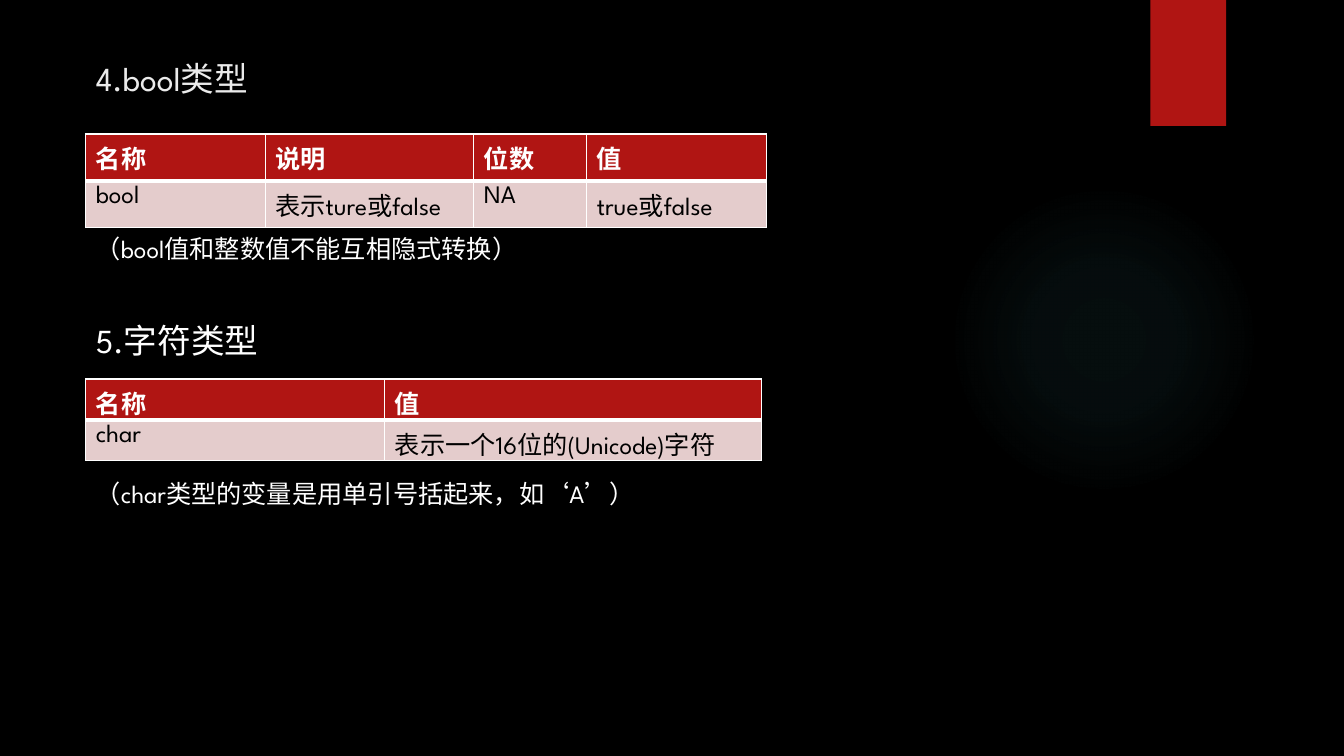
from pptx import Presentation
from pptx.dml.color import RGBColor
from pptx.enum.shapes import MSO_SHAPE
from pptx.enum.text import MSO_ANCHOR, MSO_AUTO_SIZE, PP_ALIGN
from pptx.oxml import parse_xml
from pptx.oxml.ns import nsdecls, qn
from pptx.util import Inches, Pt

THEME = {
    "font": "League Spartan",
    "background": RGBColor.from_string("000000"),
    "accent": RGBColor.from_string("B01513"),
    "row": RGBColor.from_string("E4CCCC"),
    "title": RGBColor.from_string("EBEBEB"),
    "light": RGBColor.from_string("FFFFFF"),
    "dark": RGBColor.from_string("000000"),
    "halo": "50B9C1",
    "heading_size": Pt(24),
    "body_size": Pt(18),
}
LEFT = 6.38

deck = Presentation()
deck.slide_width, deck.slide_height = Inches(13.33), Inches(7.5)


def share(left, top, width, height):
    sides = (deck.slide_width, deck.slide_height) * 2
    return [int(side * percent / 100) for side, percent in zip(sides, (left, top, width, height))]


def write(frame, text, size, color, bold=False):
    frame.text = text
    paragraph = frame.paragraphs[0]
    paragraph.alignment = PP_ALIGN.LEFT
    font = paragraph.runs[0].font
    for name, value in {"name": THEME["font"], "size": size, "bold": bold}.items():
        setattr(font, name, value)
    font.color.rgb = color


slide = deck.slides.add_slide(deck.slide_layouts[5])
slide.background.fill.solid()
slide.background.fill.fore_color.rgb = THEME["background"]

halo = slide.shapes.add_shape(MSO_SHAPE.OVAL, *share(70.6, 24.4, 23.1, 41.07))
ribbon = slide.shapes.add_shape(MSO_SHAPE.RECTANGLE, *share(85.6, 0, 5.63, 16.67))
for decoration in (halo, ribbon):
    decoration.shadow.inherit = False
    decoration.line.fill.background()
ribbon.fill.solid()
ribbon.fill.fore_color.rgb = THEME["accent"]

halo.fill.background()
stops = "".join(
    f'<a:gs pos="{position * 1000}"><a:srgbClr val="{THEME["halo"]}">'
    f'<a:alpha val="{opacity * 1000}"/></a:srgbClr></a:gs>'
    for position, opacity in ((0, 7), (36, 6), (69, 0))
)
glow = parse_xml(
    f'<a:gradFill {nsdecls("a")}><a:gsLst>{stops}</a:gsLst><a:path path="circle">'
    '<a:fillToRect l="50000" t="50000" r="50000" b="50000"/></a:path></a:gradFill>'
)
halo_properties = halo._element.spPr
halo_properties.replace(halo_properties.find(qn("a:noFill")), glow)

title = slide.shapes.title
for name, value in zip(("left", "top", "width", "height"), share(LEFT, 6.93, 77.2, 9.2)):
    setattr(title, name, value)
title_format = {
    "vertical_anchor": MSO_ANCHOR.TOP,
    "auto_size": MSO_AUTO_SIZE.NONE,
    "word_wrap": True,
}
for name, value in title_format.items():
    setattr(title.text_frame, name, value)
write(title.text_frame, "4.bool类型", THEME["heading_size"], THEME["title"])

passages = [
    ("（bool值和整数值不能互相隐式转换）", 30.27, 68.1, 5.33, "body_size"),
    ("5.字符类型", 41.6, 68.4, 6.67, "heading_size"),
    ("（char类型的变量是用单引号括起来，如‘A’）", 62.67, 71, 5.33, "body_size"),
]
for text, top, width, height, size in passages:
    passage = slide.shapes.add_textbox(*share(LEFT, top, width, height))
    passage.text_frame.word_wrap = True
    write(passage.text_frame, text, THEME[size], THEME["light"])

type_tables = [
    {
        "top": 17.73,
        "row_height": 6.2,
        "margin_bottom": Inches(0.05),
        "columns": [13.35, 15.53, 8.4, 13.35],
        "rows": [["名称", "说明", "位数", "值"], ["bool", "表示ture或false", "NA", "true或false"]],
    },
    {
        "top": 50.13,
        "row_height": 5.4,
        "margin_bottom": 0,
        "columns": [22.25, 28.06],
        "rows": [["名称", "值"], ["char", "表示一个16位的(Unicode)字符"]],
    },
]
row_looks = [
    {"fill": "accent", "text": "light", "bold": True, "borders": {"L": 1, "R": 1, "T": 1, "B": 3}},
    {"fill": "row", "text": "dark", "bold": False, "borders": {"L": 1, "R": 1, "T": 3, "B": 1}},
]
for entry in type_tables:
    rows, columns = entry["rows"], entry["columns"]
    area = share(LEFT, entry["top"], sum(columns), entry["row_height"] * len(rows))
    table = slide.shapes.add_table(len(rows), len(columns), *area).table
    for column, width in zip(table.columns, columns):
        column.width = int(deck.slide_width * width / 100)
    for row, words, look in zip(table.rows, rows, row_looks):
        row.height = int(deck.slide_height * entry["row_height"] / 100)
        for cell, word in zip(row.cells, words):
            cell.margin_bottom = entry["margin_bottom"]
            cell.fill.solid()
            cell.fill.fore_color.rgb = THEME[look["fill"]]
            write(cell.text_frame, word, THEME["body_size"], THEME[look["text"]], look["bold"])
            for order, (side, points) in enumerate(look["borders"].items()):
                border = parse_xml(
                    f'<a:ln{side} {nsdecls("a")} w="{Pt(points)}"><a:solidFill>'
                    f'<a:srgbClr val="{THEME["light"]}"/></a:solidFill></a:ln{side}>'
                )
                cell._tc.get_or_add_tcPr().insert(order, border)

deck.save("out.pptx")
